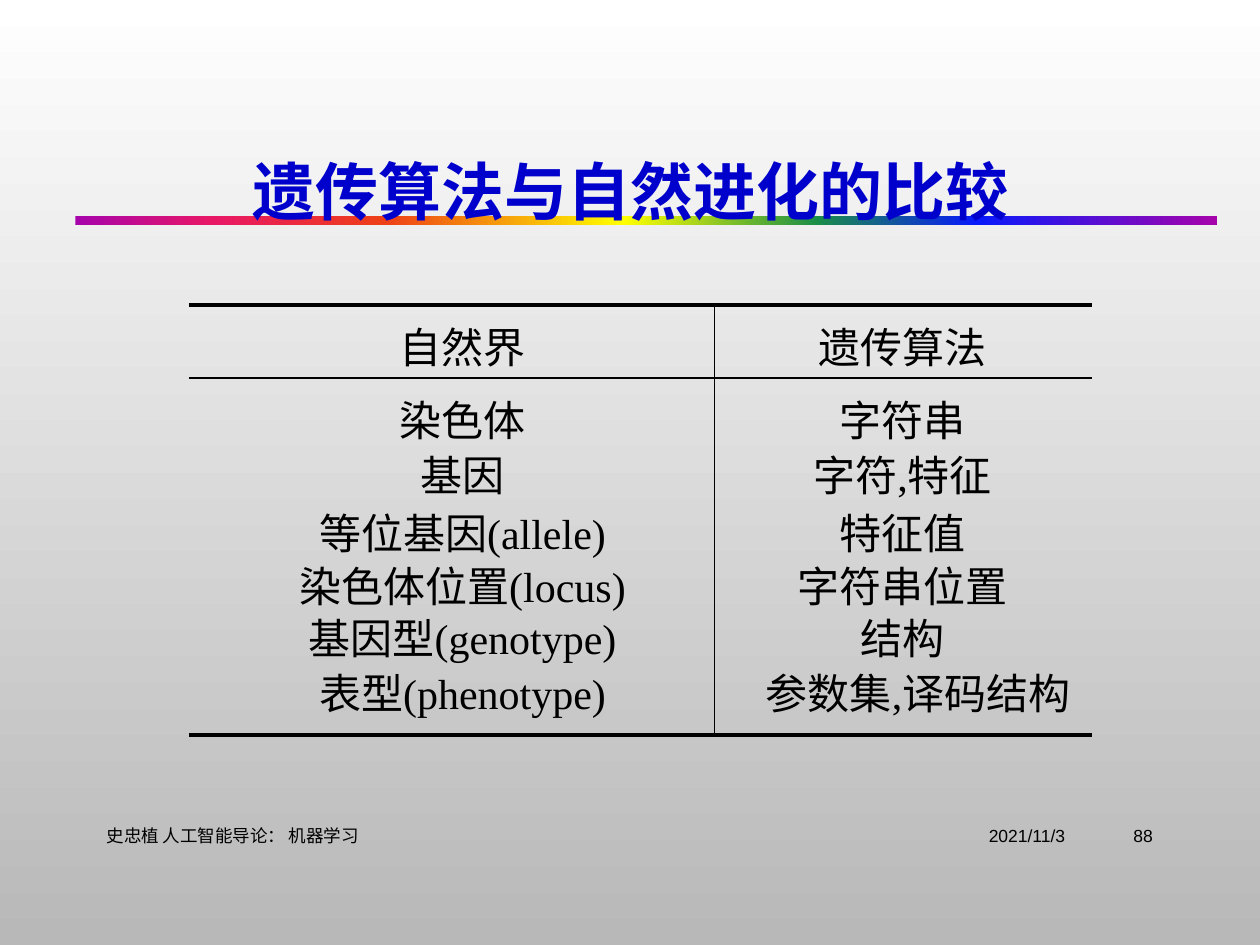
from copy import deepcopy

from lxml.etree import SubElement
from pptx import Presentation
from pptx.dml.color import RGBColor
from pptx.enum.shapes import MSO_CONNECTOR, MSO_SHAPE
from pptx.enum.text import MSO_ANCHOR, MSO_AUTO_SIZE, PP_ALIGN
from pptx.oxml.ns import qn
from pptx.util import Cm, Pt

BLACK = RGBColor(0x00, 0x00, 0x00)
BLUE = RGBColor(0x00, 0x00, 0xCC)
BACKGROUND = [(0, RGBColor(0xFF, 0xFF, 0xFF)), (1, RGBColor(0xB8, 0xB8, 0xB8))]
RAINBOW = [
    (0, RGBColor(0xA6, 0x03, 0xAB)),
    (0.12, RGBColor(0xE8, 0x17, 0x66)),
    (0.27, RGBColor(0xEE, 0x3F, 0x17)),
    (0.48, RGBColor(0xFF, 0xFF, 0x00)),
    (0.65, RGBColor(0x1A, 0x8D, 0x48)),
    (0.79, RGBColor(0x08, 0x19, 0xFB)),
    (1, RGBColor(0xA6, 0x03, 0xAB)),
]
CJK_FONT = "Noto Sans CJK SC"

TITLE = "遗传算法与自然进化的比较"
# top (cm), nature, genetic algorithm
ROWS = [
    (6.35, "自然界", "遗传算法"),
    (7.82, "染色体", "字符串"),
    (8.94, "基因", "字符,特征"),
    (10.11, "等位基因(allele)", "特征值"),
    (11.18, "染色体位置(locus)", "字符串位置"),
    (12.22, "基因型(genotype)", "结构"),
    (13.34, "表型(phenotype)", "参数集,译码结构"),
]
COLUMNS = [(4.65, 9.35), (14.6, 7.19)]  # left, width
LAST_WIDTH = 7.82  # the longest entry needs a wider box
ROW_HEIGHT = 1.27

LEFT, DIVIDER, RIGHT = 3.81, 14.4, 22.02
TOP, HEADER_BOTTOM, BOTTOM = 6.15, 7.62, 14.81
RULES = [  # x1, y1, x2, y2, points
    (LEFT, TOP, RIGHT, TOP, 2.25),
    (LEFT, HEADER_BOTTOM, RIGHT, HEADER_BOTTOM, 0.75),
    (LEFT, BOTTOM, RIGHT, BOTTOM, 2.25),
    (DIVIDER, TOP, DIVIDER, BOTTOM, 0.75),
]
FOOTER_TOP, FOOTER_HEIGHT = 16.33, 1.02
FOOTER = [  # left, width, text, alignment
    (16, 5.72, "2021/11/3", PP_ALIGN.RIGHT),
    (1.9, 13.89, "史忠植 人工智能导论： 机器学习", PP_ALIGN.LEFT),
    (21.89, 1.6, "88", PP_ALIGN.RIGHT),
]


def set_gradient(fill, parent, stops, angle):
    """Fill with any number of stops; parent is the XML that holds the fill."""
    fill.gradient()
    fill.gradient_angle = angle
    stop_list = next(parent.iter(qn("a:gsLst")))
    for _ in stops[2:]:
        stop_list.append(deepcopy(stop_list[0]))
    for stop, (position, color) in zip(fill.gradient_stops, stops):
        stop.position = position
        stop.color.rgb = color


def write(tf, text, font, size, color=BLACK, align=PP_ALIGN.CENTER, bold=False):
    tf.text = text
    tf.word_wrap = True
    p = tf.paragraphs[0]
    p.alignment = align
    r = p.runs[0]
    r.font.name, r.font.size, r.font.bold = font, Pt(size), bold
    r.font.color.rgb = color
    r.font.language_id = None
    SubElement(r.font._element if hasattr(r.font, "_element") else r._r.get_or_add_rPr(),
               qn("a:ea"), typeface=CJK_FONT)
    return p


def add_text(s, left, top, width, height, *args, **kwargs):
    tf = s.shapes.add_textbox(Cm(left), Cm(top), Cm(width), Cm(height)).text_frame
    write(tf, *args, **kwargs)
    return tf


def add_rule(s, x1, y1, x2, y2, points):
    line = s.shapes.add_connector(MSO_CONNECTOR.STRAIGHT, Cm(x1), Cm(y1), Cm(x2), Cm(y2))
    line.line.color.rgb = BLACK
    line.line.width = Pt(points)
    SubElement(line._element.spPr, qn("a:effectLst"))


def main():
    prs = Presentation()
    prs.slide_width, prs.slide_height = Cm(25.4), Cm(19.05)
    s = prs.slides.add_slide(prs.slide_layouts[5])
    set_gradient(s.background.fill, s.element, BACKGROUND, 270)

    title = s.shapes.title
    title.left, title.top, title.width, title.height = Cm(1.9), Cm(1.73), Cm(21.6), Cm(4.42)
    title.text_frame.vertical_anchor = MSO_ANCHOR.MIDDLE
    title.text_frame.auto_size = MSO_AUTO_SIZE.NONE
    write(title.text_frame, TITLE, CJK_FONT, 36, BLUE, bold=True).line_spacing = 0.9

    bar = s.shapes.add_shape(MSO_SHAPE.RECTANGLE, Cm(1.52), Cm(4.35), Cm(23.01), Cm(0.19))
    bar.shadow.inherit = False
    bar.line.fill.background()
    set_gradient(bar.fill, bar.element, RAINBOW, 0)
    title.element.addprevious(bar.element)  # behind the title

    for left, width, text, align in FOOTER:
        tf = add_text(s, left, FOOTER_TOP, width, FOOTER_HEIGHT, text, "Arial", 10, align=align)
        tf.vertical_anchor = MSO_ANCHOR.MIDDLE

    for rule in RULES:
        add_rule(s, *rule)

    for column, (left, width) in enumerate(COLUMNS):
        for top, *entries in ROWS:
            text = entries[column]
            box_width = LAST_WIDTH if text == ROWS[-1][2] else width
            tf = add_text(s, left, top, box_width, ROW_HEIGHT, text, "Times New Roman", 24)
            tf.auto_size = MSO_AUTO_SIZE.SHAPE_TO_FIT_TEXT

    prs.save("out.pptx")


if __name__ == "__main__":
    main()
